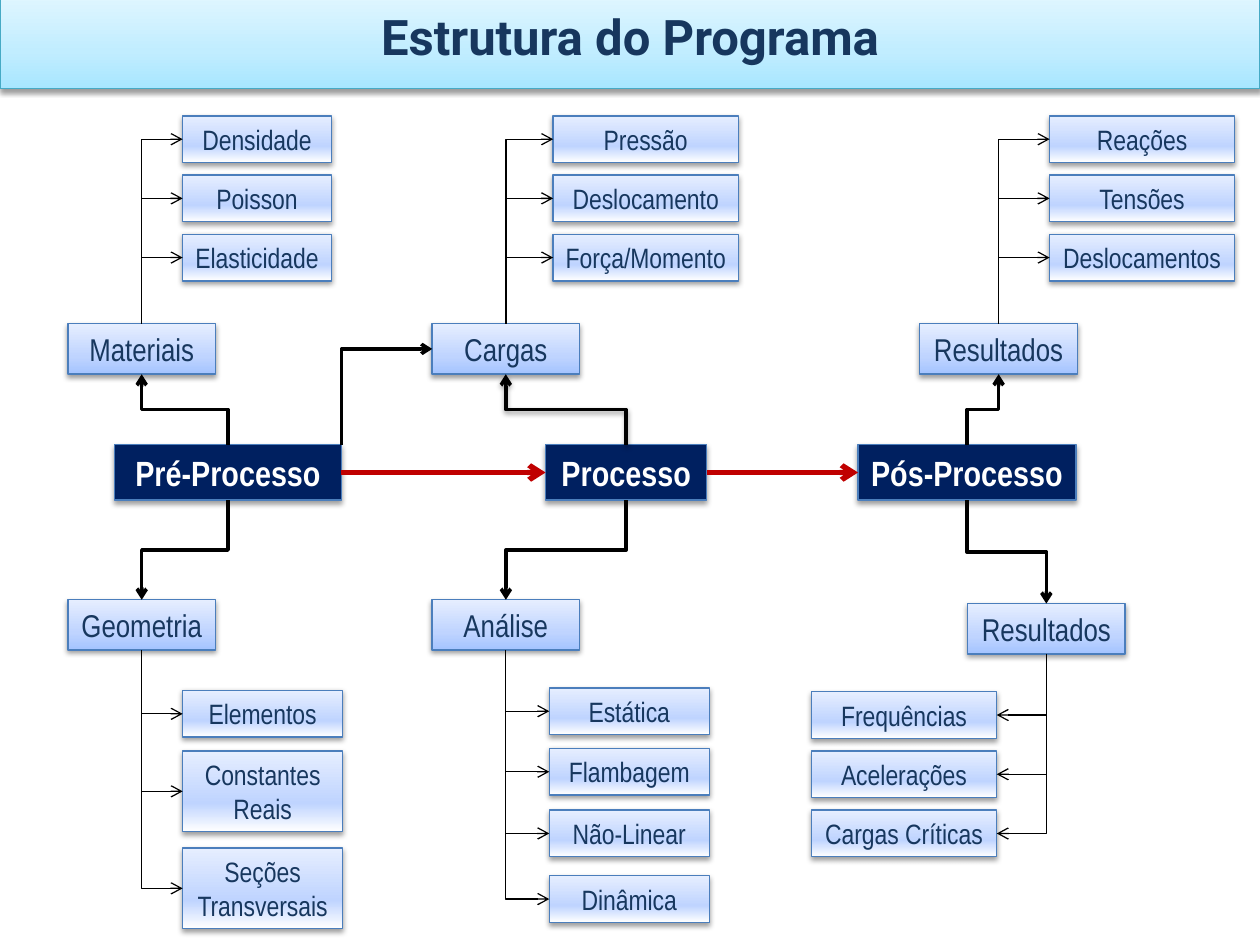
"""Build the program structure slide: three phases, their groups and leaf items."""
from copy import deepcopy

from pptx import Presentation
from pptx.dml.color import RGBColor
from pptx.enum.shapes import MSO_CONNECTOR as CONN, MSO_SHAPE as SHAPE
from pptx.enum.text import MSO_ANCHOR as ANCHOR, MSO_AUTO_SIZE as FIT, PP_ALIGN as ALIGN
from pptx.oxml import parse_xml
from pptx.oxml.ns import nsdecls, qn
from pptx.util import Inches, Pt

rgb = RGBColor.from_string
NAVY, TEXT, BORDER, BLACK, RED = "002060", "17375E", "4B7EBC", "000000", "C00000"
SKY = [(0, "A7E6FF"), (0.35, "C1EDFF"), (1, "E7F8FF")]
BLUE = [(0, "A4C4FF"), (0.35, "BFD4FF"), (1, "E6EEFF")]
PALE = [(0, "FFFFFF")] + BLUE[1:]
SHADOW = (f'<a:effectLst {nsdecls("a")}><a:outerShdw blurRad="40000" dist="20000" '
          'dir="5400000" rotWithShape="0"><a:srgbClr val="000000">'
          '<a:alpha val="38000"/></a:srgbClr></a:outerShdw></a:effectLst>')
NO_SHADOW = f'<a:effectLst {nsdecls("a")}/>'

prs = Presentation()
prs.slide_width, prs.slide_height = Inches(10), Inches(7.5)
s = prs.slides.add_slide(prs.slide_layouts[5])


def box(text, rect, fill, size, color=TEXT, bold=False, font="Arial Narrow",
        border=BORDER, sp=None):
    x, y, w, h = (Inches(v) for v in rect)
    sp = sp or s.shapes.add_shape(SHAPE.RECTANGLE, x, y, w, h)
    sp.left, sp.top, sp.width, sp.height = x, y, w, h
    if isinstance(fill, str):
        sp.fill.solid()
        sp.fill.fore_color.rgb = rgb(fill)
    else:
        sp.fill.gradient()
        sp.fill.gradient_angle = 90
        stops = sp._element.spPr.find(".//" + qn("a:gsLst"))
        stops.insert(1, deepcopy(stops[0]))
        for stop, (pos, hue) in zip(sp.fill.gradient_stops, fill):
            stop.position, stop.color.rgb = pos, rgb(hue)
    sp.line.color.rgb, sp.line.width = rgb(border), Pt(0.75)
    sp._element.spPr.append(parse_xml(SHADOW))
    tf = sp.text_frame
    tf.text = text
    tf.word_wrap = rect[3] > 0.5
    tf.auto_size, tf.vertical_anchor = FIT.SHAPE_TO_FIT_TEXT, ANCHOR.MIDDLE
    p = tf.paragraphs[0]
    p.alignment = ALIGN.CENTER
    p.font.name, p.font.size, p.font.bold = font, Pt(size), bold
    p.font.color.rgb = rgb(color)
    return sp


def link(x1, y1, x2, y2, width, color=BLACK, bends=1, shadow=False):
    kind = CONN.ELBOW if bends else CONN.STRAIGHT
    ends = x1, y1, x2, y2
    if bends:
        cx, cy, dx, dy = (x1 + x2) / 2, (y1 + y2) / 2, (x2 - x1) / 2, (y2 - y1) / 2
        ends = cx - dy, cy + dx, cx + dy, cy - dx
    c = s.shapes.add_connector(kind, *(Inches(v) for v in ends))
    pr = c._element.spPr
    if bends:
        pr.find(qn("a:xfrm")).set("rot", "5400000")
        pr.find(qn("a:prstGeom")).set("prst", f"bentConnector{bends + 1}")
    c.line.color.rgb, c.line.width = rgb(color), Pt(width)
    pr.find(qn("a:ln")).append(parse_xml(f'<a:tailEnd {nsdecls("a")} type="arrow"/>'))
    pr.append(parse_xml(SHADOW if shadow else NO_SHADOW))
    return c


box("Estrutura do Programa", (0, 0, 10, 0.57), SKY, 28, bold=True, font="Roboto",
    border="46AAC5", sp=s.shapes.title)

PHASE_Y, PHASE_H, GROUP_H, LEAF_H, TALL_H = 3.53, 0.44, 0.4, 0.37, 0.64
phases = [("Pré-Processo", 0.91, 1.8), ("Processo", 4.33, 1.28), ("Pós-Processo", 6.81, 1.73)]
upper = [(0.92, LEAF_H), (1.39, LEAF_H), (1.86, LEAF_H)]
groups = [
    (0, "Materiais", 0.54, 2.57, 1.17, 1.45, 1.18,
     ["Densidade", "Poisson", "Elasticidade"], upper),
    (0, "Geometria", 0.54, 4.76, 1.17, 1.45, 1.27,
     ["Elementos", "Constantes Reais", "Seções Transversais"],
     [(5.48, LEAF_H), (5.96, TALL_H), (6.73, TALL_H)]),
    (1, "Cargas", 3.43, 2.57, 1.17, 4.39, 1.47,
     ["Pressão", "Deslocamento", "Força/Momento"], upper),
    (1, "Análise", 3.43, 4.76, 1.17, 4.36, 1.27,
     ["Estática", "Flambagem", "Não-Linear", "Dinâmica"],
     [(5.46, LEAF_H), (5.94, LEAF_H), (6.43, LEAF_H), (6.95, LEAF_H)]),
    (2, "Resultados", 7.3, 2.57, 1.25, 8.33, 1.47,
     ["Reações", "Tensões", "Deslocamentos"], upper),
    (2, "Resultados", 7.68, 4.79, 1.25, 6.44, 1.47,
     ["Frequências", "Acelerações", "Cargas Críticas"],
     [(5.49, LEAF_H), (5.96, LEAF_H), (6.43, LEAF_H)]),
]

phase_boxes = [box(name, (x, PHASE_Y, w, PHASE_H), NAVY, 20, "FFFFFF", True)
               for name, x, w in phases]
for a, b in zip(phase_boxes, phase_boxes[1:]):
    c = link(2.71, 3.75, 4.33, 3.75, 3, RED, bends=0)
    c.begin_connect(a, 3)
    c.end_connect(b, 1)

for phase, name, x, y, w, leaf_x, leaf_w, leaves, rows in groups:
    box(name, (x, y, w, GROUP_H), BLUE, 18)
    _, phase_x, phase_w = phases[phase]
    mid, phase_mid = x + w / 2, phase_x + phase_w / 2
    if y < PHASE_Y:
        link(phase_mid, PHASE_Y, mid, y + GROUP_H, 2, bends=2, shadow=name == "Cargas")
        start = y
    else:
        link(phase_mid, PHASE_Y + PHASE_H, mid, y, 2, bends=2)
        start = y + GROUP_H
    edge = leaf_x if leaf_x > mid else leaf_x + leaf_w
    for leaf, (leaf_y, leaf_h) in zip(leaves, rows):
        box(leaf, (leaf_x, leaf_y, leaf_w, leaf_h), PALE, 16)
        link(mid, start, edge, leaf_y + leaf_h / 2, 0.75)

link(2.71, PHASE_Y, 3.43, 2.77, 2)

prs.save("out.pptx")
